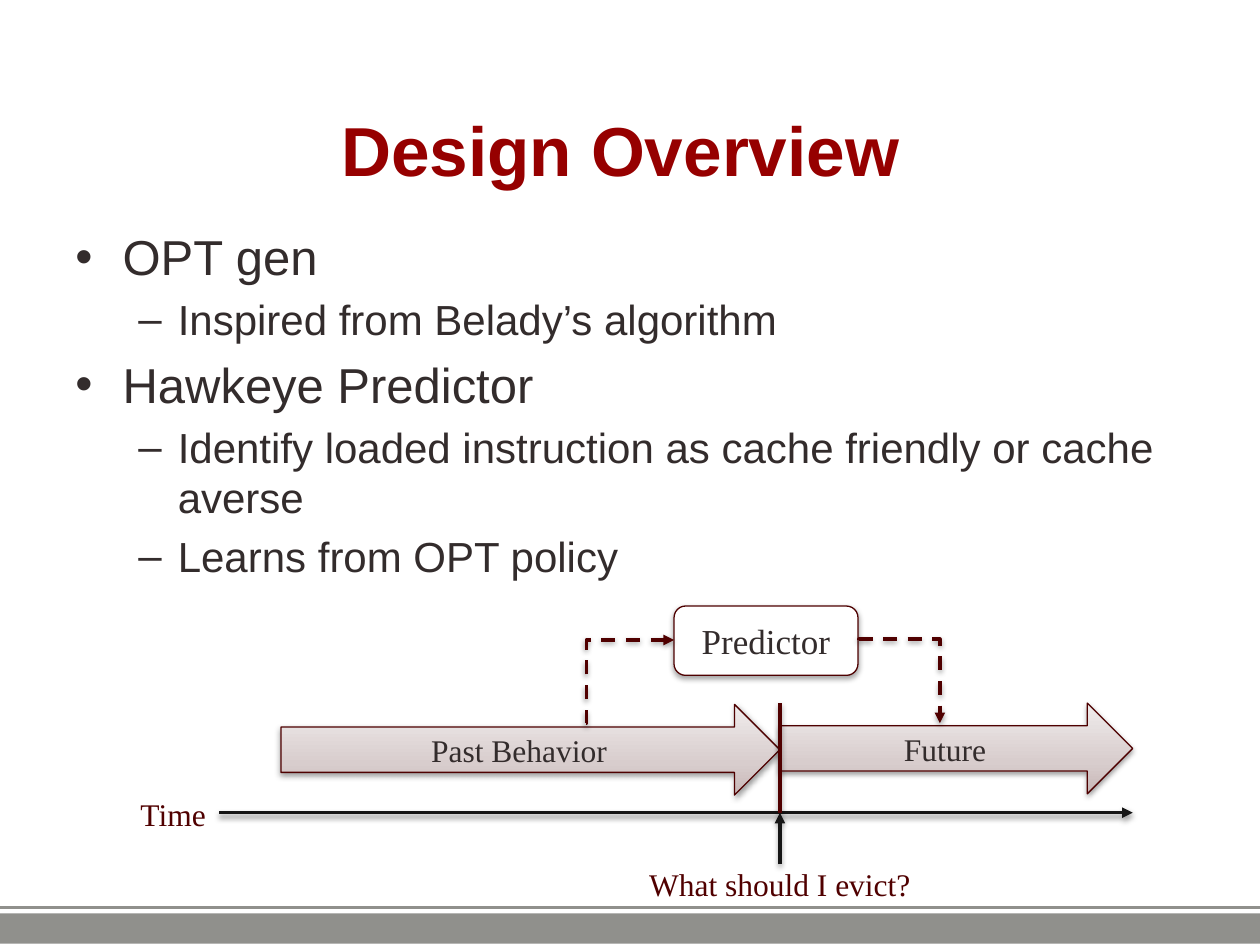
from dataclasses import dataclass

from pptx import Presentation
from pptx import util as u
from pptx.dml.color import RGBColor
from pptx.enum import dml, shapes, text
from pptx.oxml import parse_xml
from pptx.oxml.ns import nsdecls, qn

COLS, ROWS = 100, 75
WIDE, HIGH = u.Inches(10), u.Inches(7.5)


@dataclass(frozen=True)
class Theme:
    sans: str = "Arial"
    serif: str = "Times New Roman"
    title: str = "960000"
    ink: str = "332C2C"
    edge: str = "4E0000"
    accent: str = "500000"
    axis: str = "161616"
    bar: str = "90908C"
    paper: str = "FFFFFF"
    fade: tuple = ((0, "C8B7B7"), (35, "D8CDCD"), (100, "F0ECEC"))
    head: float = 39.6
    item: int = 28
    sub: int = 24
    node: int = 20
    note: int = 18


T = Theme()
ITEMS = (
    (0, "OPT gen"),
    (1, "Inspired from Belady’s algorithm"),
    (0, "Hawkeye Predictor"),
    (1, "Identify loaded instruction as cache friendly or cache averse"),
    (1, "Learns from OPT policy"),
)
# For each level: bullet, text size, left margin and hanging indent in columns
LEVELS = (("•", T.item, 3.75, -3.75), ("–", T.sub, 8.13, -3.13))


def x(cols):
    return round(WIDE * cols / COLS)


def y(rows):
    return round(HIGH * rows / ROWS)


def area(left, top, cols, rows):
    return x(left), y(top), x(cols), y(rows)


def apply(target, values):
    for name, value in values.items():
        setattr(target, name, value)


def node(tag, inner="", **attrs):
    """Make one drawing element with the given attributes and inner XML."""
    pairs = " ".join(f'{key}="{value}"' for key, value in attrs.items())
    return parse_xml(f"<a:{tag} {nsdecls('a')} {pairs}>{inner}</a:{tag}>")


def write(para, words, size, color, font=T.serif, bold=False):
    run = para.add_run()
    run.text = words
    apply(run.font, dict(size=u.Pt(size), name=font, bold=bold))
    run.font.color.rgb = RGBColor.from_string(color)


def stroke(shape, color, width):
    shape.line.color.rgb = RGBColor.from_string(color)
    shape.line.width = u.Pt(width)


def shade(shape, gap=20000, alpha=38000):
    """Give the shape a soft shadow straight below it."""
    props = shape.element.spPr
    for old in props.findall(qn("a:effectLst")):
        props.remove(old)
    tint = f'<a:srgbClr val="000000"><a:alpha val="{alpha}"/></a:srgbClr>'
    cast = (f'<a:outerShdw blurRad="40000" dist="{gap}" dir="5400000" '
            f'rotWithShape="0">{tint}</a:outerShdw>')
    props.append(node("effectLst", cast))


def label(group, place, words, size, color, font=T.serif, **extra):
    frame = group.add_textbox(*area(*place)).text_frame
    apply(frame, dict(word_wrap=False) | extra)
    para = frame.paragraphs[0]
    para.alignment = text.PP_ALIGN.CENTER
    write(para, words, size, color, font, bold=font == T.sans)


def outline(slide):
    """Add the bulleted list."""
    frame = slide.shapes.add_textbox(*area(5, 17.5, 90, 45.2)).text_frame
    frame.word_wrap = True
    for i, (level, words) in enumerate(ITEMS):
        para = frame.add_paragraph() if i else frame.paragraphs[0]
        mark, size, left, hang = LEVELS[level]
        para.level = level
        props = para._p.get_or_add_pPr()
        props.set("marL", str(x(left)))
        props.set("indent", str(x(hang)))
        props.append(node("spcBef", '<a:spcPct val="20000"/>'))
        props.append(node("buFont", typeface=T.sans))
        props.append(node("buChar", char=mark))
        write(para, words, size, T.ink, T.sans)


def block(group, kind, place, words, size):
    shape = group.add_shape(kind, *area(*place))
    stroke(shape, T.edge, 0.75)
    frame = shape.text_frame
    apply(frame, dict(word_wrap=True, vertical_anchor=text.MSO_ANCHOR.MIDDLE))
    frame.paragraphs[0].alignment = text.PP_ALIGN.CENTER
    write(frame.paragraphs[0], words, size, T.ink)
    return shape


def span(group, place, words):
    """Add a broad arrow that stands for a stretch of time."""
    shape = block(group, shapes.MSO_SHAPE.RIGHT_ARROW, place, words, T.note)
    stops = "".join(f'<a:gs pos="{at * 1000}"><a:srgbClr val="{color}"/></a:gs>'
                    for at, color in T.fade)
    fill = node("gradFill", f'<a:gsLst>{stops}</a:gsLst>'
                '<a:lin ang="16200000" scaled="0"/>', rotWithShape=1)
    shape.element.spPr.find(qn("a:prstGeom")).addnext(fill)
    shade(shape)


def link(group, start, end, color, kind=shapes.MSO_CONNECTOR.STRAIGHT,
         head=True, dash=None):
    line = group.add_connector(kind, x(start[0]), y(start[1]),
                               x(end[0]), y(end[1]))
    stroke(line, color, 2)
    if dash:
        line.line.dash_style = dash
    if head:
        line.element.spPr.find(qn("a:ln")).append(
            node("tailEnd", type="triangle"))
    shade(line)
    return line


def bend(group, start, end, adjust, turn=0):
    """Add a dashed elbow; start and end are given before the turn."""
    line = link(group, start, end, T.accent, shapes.MSO_CONNECTOR.ELBOW,
                dash=dml.MSO_LINE.DASH)
    props = line.element.spPr
    geom = props.find(qn("a:prstGeom"))
    for old in geom.findall(qn("a:avLst")):
        geom.remove(old)
    geom.append(node("avLst", f'<a:gd name="adj1" fmla="val {adjust}"/>'))
    if turn:
        props.find(qn("a:xfrm")).set("rot", str(turn * 60000))


def footer(slide):
    bar = slide.shapes.add_shape(shapes.MSO_SHAPE.RECTANGLE,
                                 *area(0, 72.5, COLS, 2.4))
    bar.shadow.inherit = False
    bar.fill.solid()
    bar.fill.fore_color.rgb = RGBColor.from_string(T.bar)
    bar.line.fill.background()
    rule = slide.shapes.add_connector(shapes.MSO_CONNECTOR.STRAIGHT,
                                      0, y(72), x(COLS), y(72))
    stroke(rule, T.bar, 1.5)
    rule.element.spPr.append(node("effectLst"))


def diagram(slide):
    group = slide.shapes.add_group_shape().shapes
    now, end, axis = 61.9, 89.9, 64.5
    link(group, (17.4, axis), (end, axis), T.axis)
    link(group, (now, 68.6), (now, axis), T.axis)
    label(group, (50.4, 68.2, 23, 4), "What should I evict?", T.note, T.accent)
    label(group, (10.1, 62.6, 7.3, 4), "Time", T.note, T.accent)
    span(group, (22.3, 55.9, now - 22.3, 7.2), "Past Behavior")
    span(group, (now, 55.8, end - now, 7.2), "Future")
    box = block(group, shapes.MSO_SHAPE.ROUNDED_RECTANGLE,
                (53.5, 48.1, 14.6, 5.5), "Predictor", T.node)
    box.fill.solid()
    box.fill.fore_color.rgb = RGBColor.from_string(T.paper)
    shade(box, gap=23000, alpha=35000)
    bend(group, (46.5, 57.4), (53.5, 50.8), 600)
    bend(group, (74.7, 50.9), (68.1, 57.3), -1000, turn=270)
    link(group, (now, axis), (now, 55.8), T.accent, head=False)


def main():
    deck = Presentation()
    apply(deck, dict(slide_width=WIDE, slide_height=HIGH))
    slide = deck.slides.add_slide(deck.slide_layouts[6])
    footer(slide)
    outline(slide)
    label(slide.shapes, (5, 8.1, 90, 7.4), "Design Overview ", T.head, T.title,
          T.sans, word_wrap=True, vertical_anchor=text.MSO_ANCHOR.MIDDLE)
    diagram(slide)
    deck.save("out.pptx")


if __name__ == "__main__":
    main()
